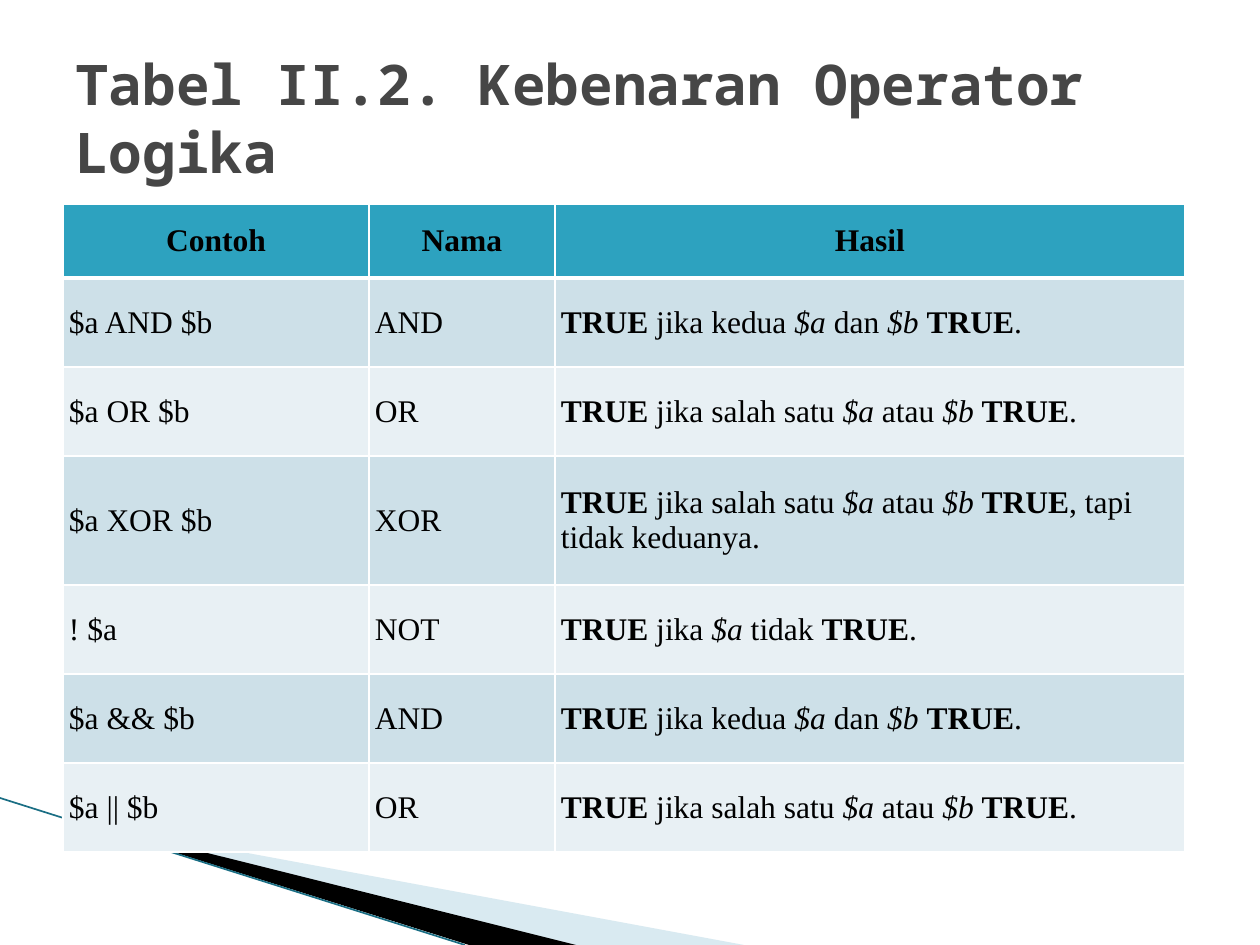
from dataclasses import dataclass
from lxml.etree import SubElement
from pptx import Presentation
from pptx.dml.color import RGBColor
from pptx.enum.shapes import MSO_CONNECTOR
from pptx.enum.text import MSO_ANCHOR, PP_ALIGN
from pptx.oxml.ns import qn
from pptx.util import Emu, Pt

SCALE = 914400 / 126


@dataclass(frozen=True)
class Theme:
    title_font: str = "Noto Sans Mono"
    body_font: str = "Times New Roman"
    title_size: int = 32
    body_size: int = 18
    title: str = "464646"
    ink: str = "000000"
    white: str = "FFFFFF"
    header: str = "2DA2BF"
    bands: tuple = ("CDE0E8", "E8F0F4")
    wedge: str = "A0CBDC"
    edge: str = "1A6E84"


T = Theme()
HEADINGS = ("Contoh", "Nama", "Hasil")
OPERATORS = (
    ("$a AND $b", "AND", "TRUE jika kedua $a dan $b TRUE."),
    ("$a OR $b", "OR", "TRUE jika salah satu $a atau $b TRUE."),
    ("$a XOR $b", "XOR", "TRUE jika salah satu $a atau $b TRUE, tapi tidak keduanya."),
    ("! $a", "NOT", "TRUE jika $a tidak TRUE."),
    ("$a && $b", "AND", "TRUE jika kedua $a dan $b TRUE."),
    ("$a || $b", "OR", "TRUE jika salah satu $a atau $b TRUE."),
)
COLUMNS = (306, 186, 630)
ROWS = (74, 89, 89, 129, 89, 89, 89)
STYLED = {"TRUE": {"bold": True}, "$a": {"italic": True}, "$b": {"italic": True}}


def px(n):
    return Emu(round(n * SCALE))


def rgb(color):
    return RGBColor.from_string(color)


def add_run(p, text, font=T.body_font, size=T.body_size, color=T.ink,
            bold=False, italic=False):
    r = p.add_run()
    r.text = text
    r.font.name, r.font.size = font, Pt(size)
    r.font.bold, r.font.italic = bold, italic
    r.font.color.rgb = rgb(color)


def add_result(p, text):
    for word in STYLED:
        text = text.replace(word, f"\t{word}\t")
    for part in filter(None, text.split("\t")):
        add_run(p, part, **STYLED.get(part, {}))


def add_wedge(slide, x, y, points, color, alpha=None):
    start, *rest = [(px(x + dx), px(y + dy)) for dx, dy in points]
    builder = slide.shapes.build_freeform(*start)
    builder.add_line_segments(rest, close=True)
    sp = builder.convert_to_shape()
    sp.shadow.inherit = False
    sp.fill.solid()
    sp.fill.fore_color.rgb = rgb(color)
    sp.line.fill.background()
    if alpha:
        clr = sp.fill._xPr.find(f".//{qn('a:srgbClr')}")
        SubElement(clr, qn("a:alpha")).set("val", str(alpha * 1000))


def add_corner(slide, x, y, w, h):
    add_wedge(slide, x, y, ((69, 22), (w, h), (575, h), (69, 21)), T.wedge, 40)
    add_wedge(slide, x, y, ((67, 20), (576, h), (469, h), (68, 21)), T.ink)
    line = slide.shapes.add_connector(
        MSO_CONNECTOR.STRAIGHT, px(x), px(y), px(x + 465), px(y + h))
    line.line.color.rgb = rgb(T.edge)
    line.line.width = Pt(0.95)
    SubElement(line._element.spPr, qn("a:effectLst"))


def add_title(slide, x, y, w, h, text):
    tf = slide.shapes.add_textbox(px(x), px(y), px(w), px(h)).text_frame
    tf.word_wrap = True
    tf.vertical_anchor = MSO_ANCHOR.MIDDLE
    add_run(tf.paragraphs[0], text, font=T.title_font, size=T.title_size,
            color=T.title, bold=True)


def set_borders(cell, bottom=1, top=1):
    tcPr = cell._tc.get_or_add_tcPr()
    for side, width in (("L", 1), ("R", 1), ("T", top), ("B", bottom)):
        ln = SubElement(tcPr, qn(f"a:ln{side}"), w=str(Pt(width)))
        fill = SubElement(ln, qn("a:solidFill"))
        SubElement(fill, qn("a:srgbClr"), val=T.white)


def format_cell(cell, row):
    cell.vertical_anchor = MSO_ANCHOR.MIDDLE
    cell.margin_left = cell.margin_right = px(6)
    cell.margin_top = cell.margin_bottom = px(6)
    set_borders(cell, bottom=1 if row else 3, top=3 if row == 1 else 1)
    cell.fill.solid()
    cell.fill.fore_color.rgb = rgb(T.bands[(row - 1) % 2] if row else T.header)


def add_truth_table(slide, x, y, w, h):
    table = slide.shapes.add_table(
        len(ROWS), len(COLUMNS), px(x), px(y), px(w), px(h)).table
    for column, width in zip(table.columns, COLUMNS):
        column.width = px(width)
    for row, height in zip(table.rows, ROWS):
        row.height = px(height)
    for i, texts in enumerate((HEADINGS, *OPERATORS)):
        for j, text in enumerate(texts):
            cell = table.cell(i, j)
            format_cell(cell, i)
            p = cell.text_frame.paragraphs[0]
            if i == 0:
                p.alignment = PP_ALIGN.CENTER
                add_run(p, text, bold=True)
            elif j == 2:
                add_result(p, text)
            else:
                add_run(p, text)


def main():
    prs = Presentation()
    prs.slide_width, prs.slide_height = px(1260), px(945)
    slide = prs.slides.add_slide(prs.slide_layouts[6])
    add_corner(slide, 0, 798, 744, 147)
    add_truth_table(slide, 63, 204, sum(COLUMNS), sum(ROWS))
    add_title(slide, 63, 38, 1134, 158, "Tabel II.2. Kebenaran Operator Logika")
    prs.save("out.pptx")


if __name__ == "__main__":
    main()
